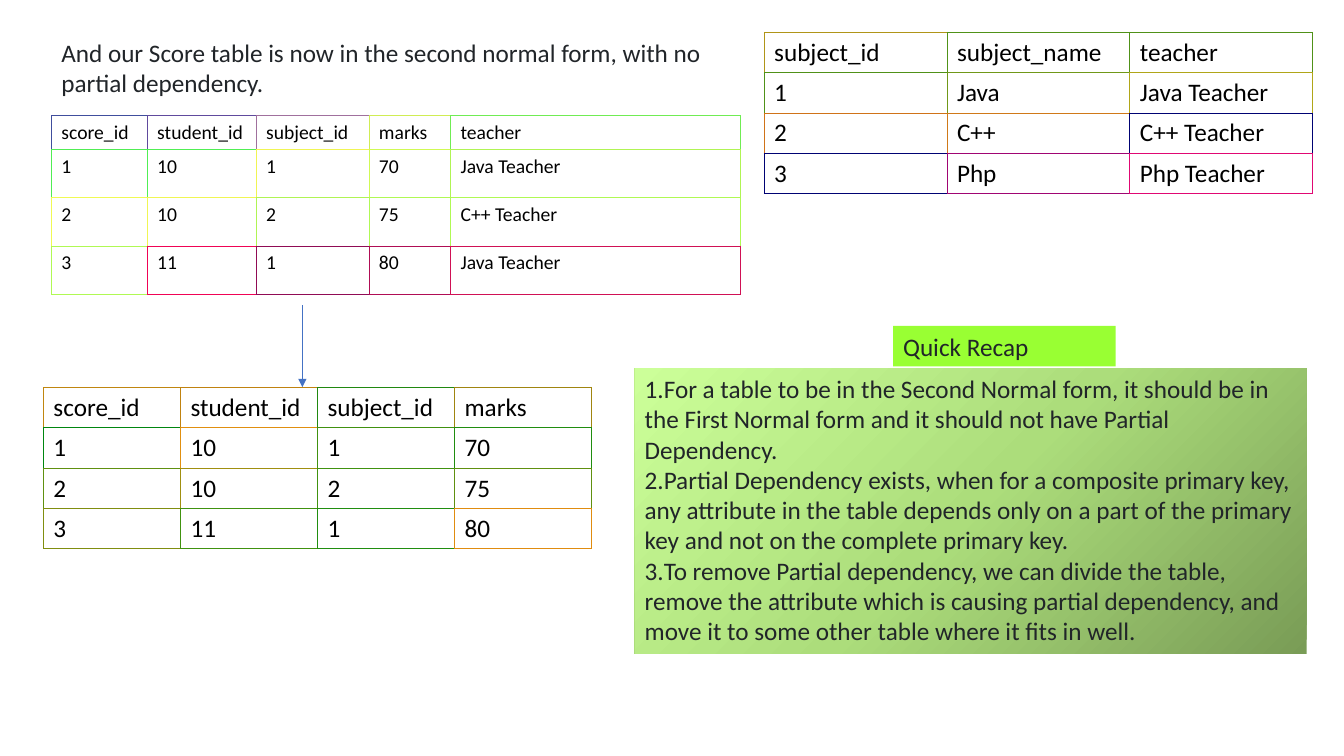
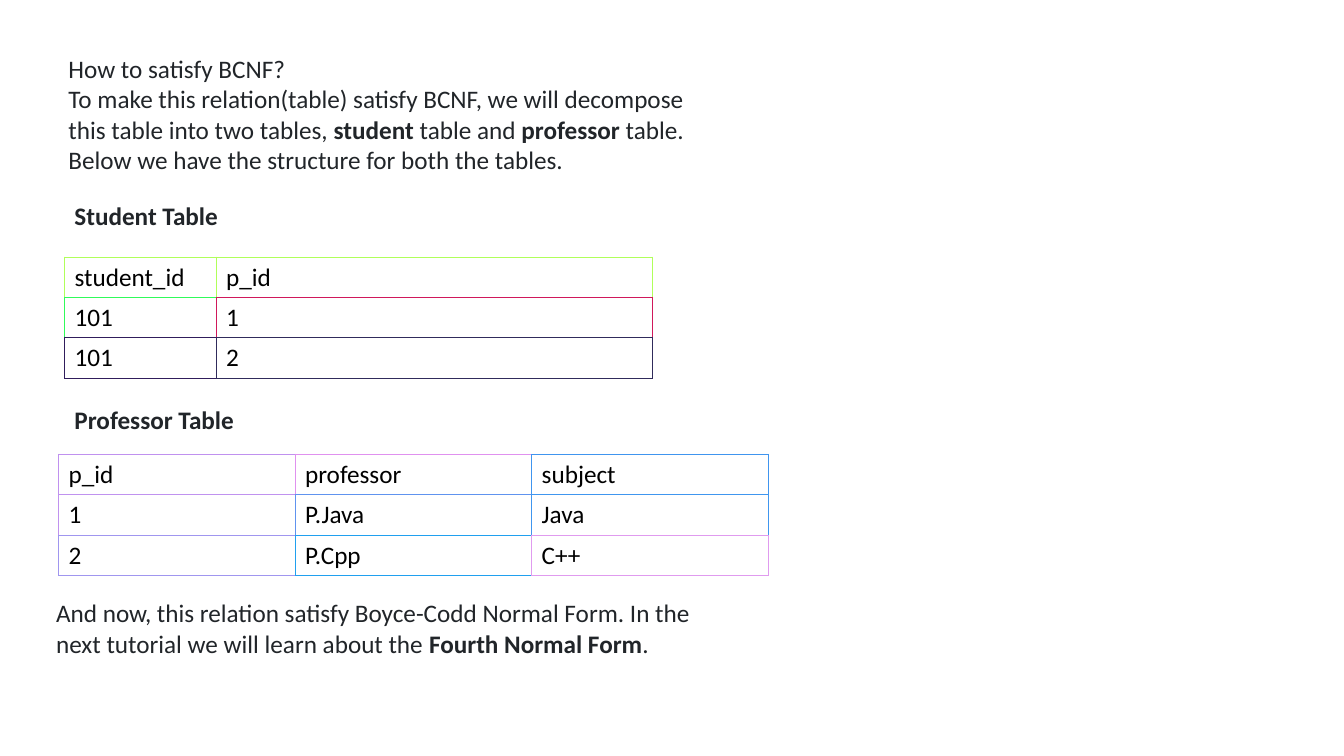
"""Build two slides on the second and the Boyce-Codd normal forms."""
from dataclasses import dataclass

from lxml import etree
from pptx import Presentation
from pptx.dml.color import RGBColor
from pptx.enum.shapes import MSO_CONNECTOR, MSO_SHAPE
from pptx.enum.text import MSO_ANCHOR, MSO_AUTO_SIZE, PP_ALIGN
from pptx.oxml import parse_xml
from pptx.oxml.ns import nsdecls, qn
from pptx.shapes.autoshape import Shape
from pptx.slide import Slide
from pptx.table import _Cell
from pptx.text.text import TextFrame
from pptx.util import Pt

RECT = MSO_SHAPE.RECTANGLE
LINE = MSO_CONNECTOR.STRAIGHT
GROW = MSO_AUTO_SIZE.SHAPE_TO_FIT_TEXT
TOP = MSO_ANCHOR.TOP
LEFT = PP_ALIGN.LEFT

FONT = "Calibri"
INK = "212529"
BLACK = "000000"
WHITE = "FFFFFF"
BLUE = "4472C4"
LIME = "99FF33"
FADE = [(0, "799C56"), (50, "ACDD7B"), (100, "CCFF99")]
BODY = 18
ROW = 28.8
EDGE = 0.6


@dataclass
class Box:
    """Text at a place; starred parts are bold."""
    left: float
    top: float
    width: float
    height: float
    text: str


@dataclass
class Grid:
    """A table whose cells each have one edge hue."""
    left: float
    top: float
    cols: list[float]
    rows: list[float]
    cells: list[list[str]]
    hues: list[list[str]]
    size: int = BODY


def paint(code: str) -> RGBColor:
    return RGBColor.from_string(code)


def write(frame: TextFrame, text: str, size: int, ink: str) -> None:
    frame.text = text
    for para in frame.paragraphs:
        parts = para.text.split("*")
        para.text = parts[0]
        for part in parts[1:]:
            para.add_run().text = part
        para.alignment = LEFT
        for spot, run in enumerate(para.runs):
            run.font.name = FONT
            run.font.size = Pt(size)
            run.font.color.rgb = paint(ink)
            run.font.bold = (spot + (not parts[0])) % 2 == 1


def fill_box(shape: Shape, box: Box) -> None:
    frame = shape.text_frame
    frame.word_wrap = True
    frame.auto_size = GROW
    frame.vertical_anchor = TOP
    write(frame, box.text, BODY, INK)


def add_text(slide: Slide, box: Box) -> None:
    shape = slide.shapes.add_textbox(
        Pt(box.left), Pt(box.top), Pt(box.width), Pt(box.height))
    fill_box(shape, box)


def add_rect(slide: Slide, box: Box) -> Shape:
    shape = slide.shapes.add_shape(
        RECT, Pt(box.left), Pt(box.top), Pt(box.width), Pt(box.height))
    shape.shadow.inherit = False
    shape.fill.solid()
    shape.fill.fore_color.rgb = paint(LIME)
    shape.line.fill.background()
    fill_box(shape, box)
    return shape


def fade(shape: Shape) -> None:
    stops = "".join(
        f'<a:gs pos="{spot * 1000}"><a:srgbClr val="{hue}"/></a:gs>'
        for spot, hue in FADE)
    flat = shape.element.spPr.find(qn("a:solidFill"))
    flat.getparent().replace(flat, parse_xml(
        f'<a:gradFill {nsdecls("a")} rotWithShape="1"><a:gsLst>{stops}</a:gsLst>'
        '<a:lin ang="13500000" scaled="0"/></a:gradFill>'))


def count(shape: Shape) -> None:
    for para in shape.text_frame.paragraphs:
        props = para._p.get_or_add_pPr()
        props.set("marL", "0")
        props.set("indent", "0")
        etree.SubElement(props, qn("a:buAutoNum"), type="arabicPeriod")


def edge(cell: _Cell, hues: dict[str, str]) -> None:
    props = cell._tc.get_or_add_tcPr()
    for spot, (side, hue) in enumerate(hues.items()):
        props.insert(spot, parse_xml(
            f'<a:ln{side} {nsdecls("a")} w="{Pt(EDGE)}"><a:solidFill>'
            f'<a:srgbClr val="{hue}"/></a:solidFill></a:ln{side}>'))


def add_grid(slide: Slide, grid: Grid) -> None:
    high, wide = len(grid.rows), len(grid.cols)
    table = slide.shapes.add_table(
        high, wide, Pt(grid.left), Pt(grid.top),
        Pt(sum(grid.cols)), Pt(sum(grid.rows))).table
    table.first_row = False
    table.horz_banding = False
    for col, width in zip(table.columns, grid.cols):
        col.width = Pt(width)
    for row, height in zip(table.rows, grid.rows):
        row.height = Pt(height)
    for y, line in enumerate(grid.cells):
        for x, text in enumerate(line):
            cell = table.cell(y, x)
            write(cell.text_frame, text, grid.size, BLACK)
            cell.fill.solid()
            cell.fill.fore_color.rgb = paint(WHITE)
            own = grid.hues[y][x]
            edge(cell, {
                "L": own,
                "R": grid.hues[y][min(x + 1, wide - 1)],
                "T": own,
                "B": grid.hues[min(y + 1, high - 1)][x],
            })


def add_arrow(slide: Slide, x: float, top: float, end: float) -> None:
    arrow = slide.shapes.add_connector(LINE, Pt(x), Pt(top), Pt(x), Pt(end))
    arrow.line.color.rgb = paint(BLUE)
    arrow.line.width = Pt(0.5)
    etree.SubElement(arrow.line._get_or_add_ln(), qn("a:tailEnd"), type="triangle")
    etree.SubElement(arrow._element.spPr, qn("a:effectLst"))


WIDE = Grid(
    36.7, 82.4, [68.4, 77.8, 80.6, 58.3, 207.4], [24.3, 34.5, 34.5, 34.5],
    [["score_id", "student_id", "subject_id", "marks", "teacher"],
     ["1", "10", "1", "70", "Java Teacher"],
     ["2", "10", "2", "75", "C++ Teacher"],
     ["3", "11", "1", "80", "Java Teacher"]],
    [["404E9D", "604A9D", "A0709D", "D0ED54", "70EC54"],
     ["50ED54", "50EF54", "F0F554", "D0FA54", "B0F454"],
     ["F0FA54", "F0F654", "B0F454", "B0F954", "B0F954"],
     ["B0F954", "F00355", "900B55", "B00D55", "D01155"]],
    14)

SCORE = Grid(
    31, 276.7, [97.9] * 4, [ROW] * 4,
    [["score_id", "student_id", "subject_id", "marks"],
     ["1", "10", "1", "70"],
     ["2", "10", "2", "75"],
     ["3", "11", "1", "80"]],
    [["C0860F", "C0820F", "20880F", "A0850F"],
     ["00860F", "E08F0F", "40910F", "208D0F"],
     ["60900F", "A08F0F", "40920F", "60900F"],
     ["808E0F", "40920F", "208E0F", "E08C0F"]])

SUBJECT = Grid(
    545.8, 23, [130.6] * 3, [ROW] * 4,
    [["subject_id", "subject_name", "teacher"],
     ["1", "Java", "Java Teacher"],
     ["2", "C++", "C++ Teacher"],
     ["3", "Php", "Php Teacher"]],
    [["B09518", "509218", "509118"],
     ["509118", "709818", "B0A618"],
     ["D07318", "D07918", "000273"],
     ["000273", "A00573", "E00873"]])

STUDENT = Grid(
    46.1, 183.6, [108.3, 311.7], [ROW] * 3,
    [["student_id", "p_id"], ["101", "1"], ["101", "2"]],
    [["B0FF5A", "B0FF5A"], ["30FB5A", "D0185B"], ["301D5B", "302B5B"]])

TEACHER = Grid(
    41.8, 324.5, [169] * 3, [ROW] * 3,
    [["p_id", "professor", "subject"],
     ["1", "P.Java", "Java"],
     ["2", "P.Cpp", "C++"]],
    [["C091EF", "E091EF", "4095EF"],
     ["C092EF", "6093EF", "4096EF"],
     ["A096EF", "20A0EF", "E09BEF"]])

RECAP = Box(
    453.4, 263.2, 480, 203.8,
    "For a table to be in the Second Normal form, it should be in the First "
    "Normal form and it should not have Partial Dependency.\n"
    "Partial Dependency exists, when for a composite primary key, any attribute "
    "in the table depends only on a part of the primary key and not on the "
    "complete primary key.\n"
    "To remove Partial dependency, we can divide the table, remove the attribute "
    "which is causing partial dependency, and move it to some other table where "
    "it fits in well.")

NOTES = [
    Box(41.8, 34.6, 480, 94.3,
        "How to satisfy BCNF?\n"
        "To make this relation(table) satisfy BCNF, we will decompose this table "
        "into two tables, *student* table and *professor* table.\n"
        "Below we have the structure for both the tables."),
    Box(46.1, 139.8, 480, 29, "*Student Table*"),
    Box(46.1, 285.4, 480, 29, "*Professor Table*"),
    Box(33, 423.4, 480, 51,
        "And now, this relation satisfy Boyce-Codd Normal Form. In the next "
        "tutorial we will learn about the *Fourth Normal Form*."),
]


def draw_second(slide: Slide) -> None:
    add_text(slide, Box(
        36.7, 23, 480, 51,
        "And our Score table is now in the second normal form, with no partial "
        "dependency."))
    add_grid(slide, WIDE)
    add_arrow(slide, 216, 218.2, 276.5)
    add_grid(slide, SCORE)
    add_grid(slide, SUBJECT)
    add_rect(slide, Box(638, 232.8, 159, 29, "Quick Recap"))
    recap = add_rect(slide, RECAP)
    fade(recap)
    count(recap)


def draw_boyce(slide: Slide) -> None:
    for note in NOTES:
        add_text(slide, note)
    for grid in (STUDENT, TEACHER):
        add_grid(slide, grid)


def main() -> None:
    deck = Presentation()
    deck.slide_width, deck.slide_height = Pt(960), Pt(540)
    for draw in (draw_second, draw_boyce):
        draw(deck.slides.add_slide(deck.slide_layouts[6]))
    deck.save("out.pptx")


if __name__ == "__main__":
    main()
